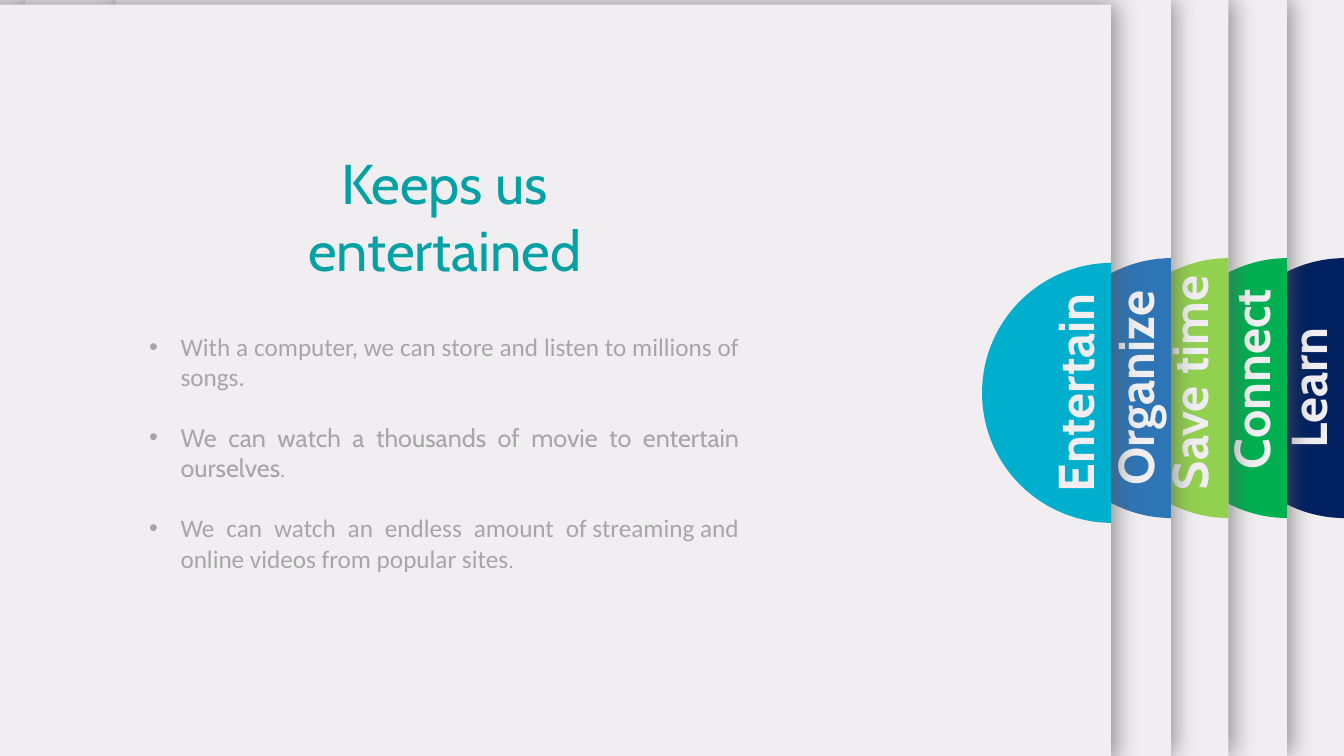
"""Build a slide of five stacked pages with half-round side tabs."""
from lxml.etree import SubElement as Sub
from pptx import Presentation
from pptx.dml.color import RGBColor
from pptx.enum.shapes import MSO_SHAPE as Shape
from pptx.enum.text import MSO_ANCHOR as Anchor, MSO_AUTO_SIZE as Fit, PP_ALIGN as Align
from pptx.oxml.ns import qn
from pptx.util import Cm, Pt

WIDE, HIGH = 33.87, 19.05
PAPER = "F0EEF0"
MID = 9.78
HARD = chr(160)

# label, colour, page left, page right, page top, label width, label shift x, label shift y
TABS = [
    ("Learn", "002060", -0.81, 33.87, 0, 5.54, 0, 0),
    ("Connect", "00B050", 0.64, 32.43, 0, 5.54, 0, -0.23),
    ("Save time", "92D050", 3.28, 30.96, 0, 6.05, -0.1, -0.13),
    ("Organize", "2E75B6", 2.92, 29.51, 0, 5.54, 0, 0),
    ("Entertain", "00AECD", -4.95, 28, 0.12, 5.54, 0, 0),
]
HALF = [(0, -3.28), (0, 3.28), (-0.3, 3.26),
        (-1.96, 3.09), (-3.25, 1.7), (-3.25, 0),
        (-3.25, -1.7), (-1.96, -3.09), (-0.3, -3.26)]
CURVES = 2
TITLE = "Keeps us entertained"
POINTS = [
    [("With a computer, we can store and listen to millions of songs.", "Calibri")],
    [("We can watch a thousands of movie to entertain ourselves.", "Cabin")],
    [(f"We can watch an endless amount of{HARD}streaming{HARD}and online videos "
      "from popular sites", "Calibri"), (".", "Cabin")],
]
TAB_FONT = {"name": "Cabin", "size": Pt(36), "bold": True}
HEAD_FONT = {"name": "Cabin", "size": Pt(40)}
BODY_FONT = {"size": Pt(18)}


def style(font, color, form):
    for key, val in form.items():
        setattr(font, key, val)
    font.color.rgb = RGBColor.from_string(color)


def paint(shape, color):
    shape.fill.solid()
    shape.fill.fore_color.rgb = RGBColor.from_string(color)
    shape.line.fill.background()
    shape.shadow.inherit = False


def place(shape, *box):
    for key, val in zip(("left", "top", "width", "height"), box):
        setattr(shape, key, Cm(val))


def frame(shape):
    text = shape.text_frame
    for key, val in {"word_wrap": True, "auto_size": Fit.SHAPE_TO_FIT_TEXT,
                     "vertical_anchor": Anchor.TOP}.items():
        setattr(text, key, val)
    return text


def write(shape, words, color, form):
    para = frame(shape).paragraphs[0]
    para.alignment = Align.CENTER
    run = para.add_run()
    run.text = words
    style(run.font, color, form)


def shade(shape):
    effects = shape.element.spPr.find(qn("a:effectLst"))
    shadow = Sub(effects, qn("a:outerShdw"), blurRad=str(Pt(17)), dist=str(Pt(3)),
                 dir="0", algn="l", rotWithShape="0")
    color = Sub(shadow, qn("a:srgbClr"), val="595959")
    Sub(color, qn("a:alpha"), val="65000")


def add_half(shapes, right, mid, color):
    spots = [(Cm(right + x), Cm(mid + y)) for x, y in HALF]
    pen = shapes.build_freeform(*spots[0])
    pen.add_line_segments(spots[1:], close=True)
    half = pen.convert_to_shape()
    lines = list(half.element.iter(qn("a:lnTo")))[-3 * CURVES:]
    for first in range(0, len(lines), 3):
        curve = lines[first]
        for line in lines[first + 1:first + 3]:
            curve.append(line[0])
            line.getparent().remove(line)
        curve.tag = qn("a:cubicBezTo")
    paint(half, color)


def add_tab(shapes, tab):
    words, color, left, right, top, wide, dx, dy = tab
    mid, high = MID + top, 1.8
    page = shapes.add_shape(Shape.RECTANGLE, Cm(left), Cm(top), Cm(right - left), Cm(HIGH))
    paint(page, PAPER)
    shade(page)
    add_half(shapes, right, mid, color)
    label = shapes.add_textbox(0, 0, 0, 0)
    place(label, right - 0.9 + dx - wide / 2, mid + dy - high / 2, wide, high)
    label.rotation = 270
    write(label, words, PAPER, TAB_FONT)


def add_points(shapes):
    box = shapes.add_textbox(0, 0, 0, 0)
    place(box, 3.51, 8.23, 15.37, 7.19)
    text = frame(box)
    for index, runs in enumerate(POINTS):
        para = text.add_paragraph() if index else text.paragraphs[0]
        props = para._p.get_or_add_pPr()
        props.set("marL", str(Cm(0.79)))
        props.set("indent", str(Cm(-0.79)))
        Sub(props, qn("a:buFont"), typeface="Arial")
        Sub(props, qn("a:buChar"), char="•")
        para.alignment = Align.JUSTIFY
        if index:
            para.space_before = Pt(21.5)
        for words, name in runs:
            run = para.add_run()
            run.text = words
            style(run.font, "A6A6A6", {**BODY_FONT, "name": name})


def main():
    deck = Presentation()
    deck.slide_width, deck.slide_height = Cm(WIDE), Cm(HIGH)
    slide = deck.slides.add_slide(deck.slide_layouts[5])
    shapes = slide.shapes
    for tab in TABS:
        add_tab(shapes, tab)
    title = shapes.title
    shapes._spTree.append(title.element)
    place(title, 4.98, 3.61, 12.45, 1.96)
    write(title, TITLE, "03A1A4", HEAD_FONT)
    add_points(shapes)
    deck.save("out.pptx")


if __name__ == "__main__":
    main()
